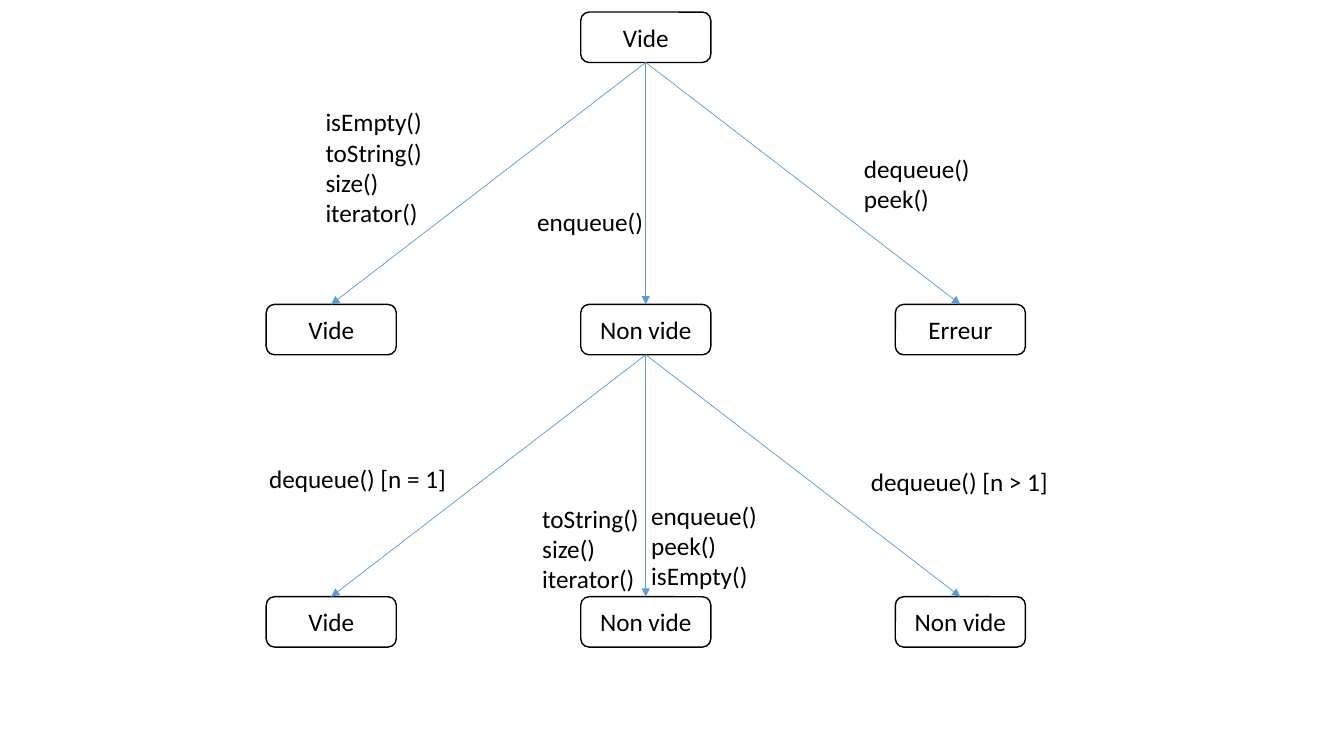
"""Build a slide with the state tree of a queue and its method calls."""
from typing import NamedTuple

from lxml import etree
from pptx import Presentation
from pptx import util as u
from pptx.dml.color import RGBColor
from pptx.enum import shapes, text
from pptx.oxml.ns import qn

HUES = {"ink": "000000", "paper": "FFFFFF", "edge": "5B9BD5"}
FONT = "Calibri"
LEFT, TOP = 2.64, 0.12
STEP_X, STEP_Y = 3.12, 2.9
WIDE, HIGH = 1.29, 0.5


class State(NamedTuple):
    """A state box at a column and row of the tree."""
    name: str
    col: int
    row: int


class Label(NamedTuple):
    """The calls beside an arrow, one per line."""
    calls: tuple[str, ...]
    x: float
    y: float
    wide: float
    high: float


STATES = [
    State("Vide", 1, 0),
    State("Vide", 0, 1),
    State("Non vide", 1, 1),
    State("Erreur", 2, 1),
    State("Vide", 0, 2),
    State("Non vide", 1, 2),
    State("Non vide", 2, 2),
]
LABELS = [
    Label(("isEmpty()", "toString()", "size()", "iterator()"), 3.13, 1.01, 1.61, 1.31),
    Label(("dequeue()", "peek()"), 8.47, 1.47, 1.53, 0.71),
    Label(("enqueue()",), 5.23, 2, 1.33, 0.4),
    Label(("enqueue()", "peek()", "isEmpty()"), 6.36, 4.91, 2.11, 1.01),
    Label(("dequeue() [n > 1]",), 8.54, 4.58, 2.24, 0.4),
    Label(("dequeue() [n = 1]",), 2.57, 4.55, 2.12, 0.4),
    Label(("toString()", "size()", "iterator()"), 5.28, 4.94, 1.26, 1.01),
]


def hue(name: str) -> RGBColor:
    """Return a named colour."""
    return RGBColor.from_string(HUES[name])


def write(shape, *lines: str, size=18, ink="ink", align=text.PP_ALIGN.LEFT,
          anchor=text.MSO_ANCHOR.TOP) -> None:
    """Fill a shape with one paragraph per line."""
    frame = shape.text_frame
    frame.word_wrap = True
    frame.vertical_anchor = anchor
    frame.text = "\n".join(lines)
    for para in frame.paragraphs:
        para.alignment = align
        para.font.name = FONT
        para.font.size = u.Pt(size)
        para.font.color.rgb = hue(ink)


def draw_state(slide, state: State):
    """Draw a state box and return it."""
    box = slide.shapes.add_shape(
        shapes.MSO_SHAPE.ROUNDED_RECTANGLE,
        u.Inches(LEFT + state.col * STEP_X), u.Inches(TOP + state.row * STEP_Y),
        u.Inches(WIDE), u.Inches(HIGH))
    box.shadow.inherit = False
    box.fill.solid()
    box.fill.fore_color.rgb = hue("paper")
    box.line.color.rgb = hue("ink")
    box.line.width = u.Pt(1)
    write(box, state.name, align=text.PP_ALIGN.CENTER, anchor=text.MSO_ANCHOR.MIDDLE)
    return box


def draw_arrow(slide, start, end) -> None:
    """Link the bottom of one box to the top of another."""
    link = slide.shapes.add_connector(shapes.MSO_CONNECTOR.STRAIGHT, 0, 0, 0, 0)
    link.begin_connect(start, 2)
    link.end_connect(end, 0)
    link.line.color.rgb = hue("edge")
    link.line.width = u.Pt(0.5)
    etree.SubElement(link.line._get_or_add_ln(), qn("a:tailEnd"), type="triangle")
    etree.SubElement(link._element.spPr, qn("a:effectLst"))


def draw_label(slide, label: Label) -> None:
    """Draw the calls that go with an arrow."""
    box = slide.shapes.add_textbox(
        u.Inches(label.x), u.Inches(label.y), u.Inches(label.wide), u.Inches(label.high))
    write(box, *label.calls)


def main() -> None:
    """Build and save the slide."""
    deck = Presentation()
    deck.slide_width, deck.slide_height = u.Inches(13.33), u.Inches(7.5)
    slide = deck.slides.add_slide(deck.slide_layouts[6])
    boxes = {(state.col, state.row): draw_state(slide, state) for state in STATES}
    for (col, row), box in boxes.items():
        if row > 0:
            draw_arrow(slide, boxes[1, row - 1], box)
    for label in LABELS:
        draw_label(slide, label)
    deck.save("out.pptx")


main()
